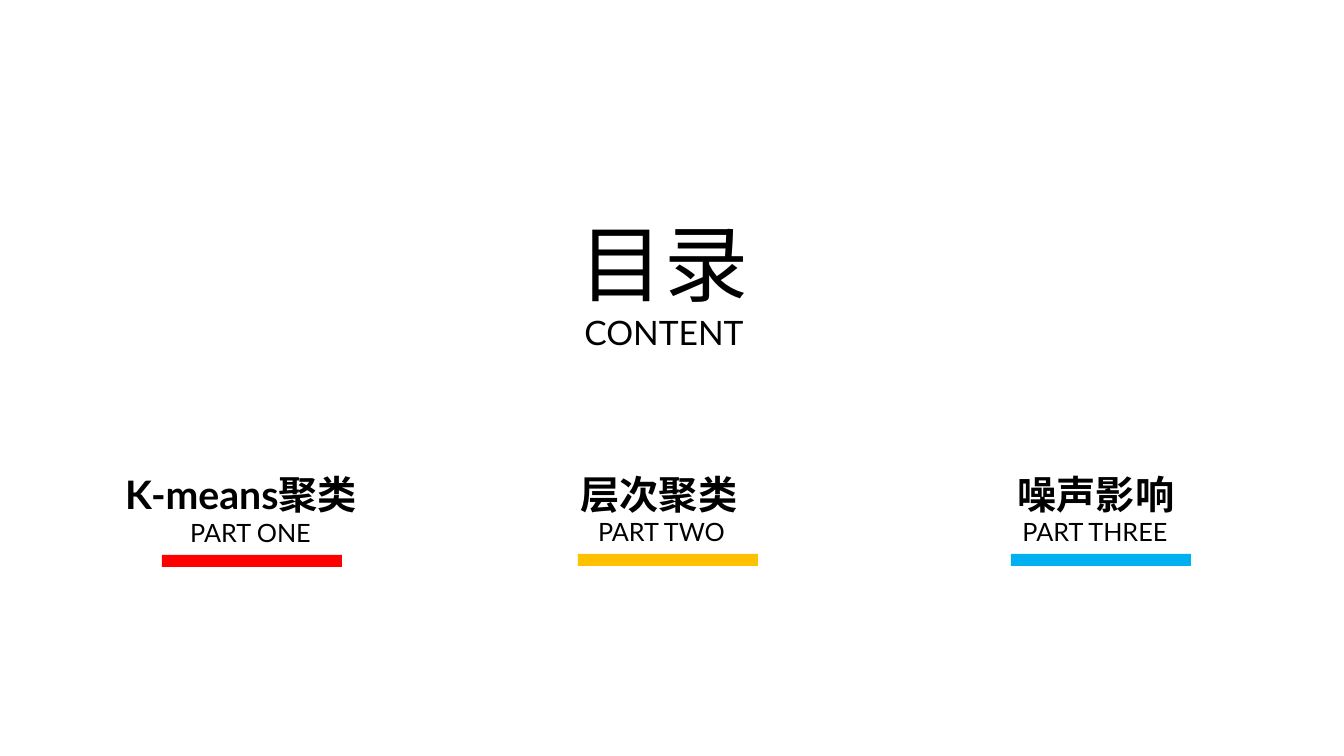
"""Build the contents slide with a title and three numbered parts."""
from dataclasses import dataclass

from lxml import etree
from pptx import Presentation, util as u
from pptx.dml.color import RGBColor
from pptx.enum import lang, shapes, text as t
from pptx.oxml import ns

EMU_PER_PX = 914400 / 100.8


@dataclass(frozen=True)
class Theme:
    """Colours, font and type sizes of the slide."""
    font: str = "Lato"
    ink: str = "000000"
    red: str = "FF0000"
    amber: str = "FFC000"
    blue: str = "00B0F0"
    title: int = 60
    subtitle: int = 24
    heading: int = 28
    label: int = 18


def px(length):
    """Turn whole pixels into EMU."""
    return u.Emu(round(length * EMU_PER_PX))


def write_text(paragraph, content, *, font, size, color, bold=False, spacing=1.0):
    """Write one formatted centred run into a paragraph."""
    paragraph.alignment = t.PP_ALIGN.CENTER
    paragraph.line_spacing = spacing
    paragraph.space_before = u.Pt(0)
    run = paragraph.add_run()
    run.text = content
    run.font.name = font
    run.font.size = u.Pt(size)
    run.font.bold = bold
    run.font.color.rgb = RGBColor.from_string(color)
    run.font.language_id = lang.MSO_LANGUAGE_ID.SIMPLIFIED_CHINESE
    properties = run._r.get_or_add_rPr()
    etree.SubElement(properties, ns.qn("a:ea"), typeface=font)


class ContentsSlide:
    """Hold the theme and the current slide, and add its elements."""

    def __init__(self, presentation, theme):
        """Start a title-only slide."""
        self.theme = theme
        self.slide = presentation.slides.add_slide(presentation.slide_layouts[5])

    def title(self, content, subtitle, left, top, width, height):
        """Place the title with its smaller second line."""
        shape = self.slide.shapes.title
        shape.left, shape.top = px(left), px(top)
        shape.width, shape.height = px(width), px(height)
        frame = shape.text_frame
        frame.word_wrap = False
        frame.auto_size = t.MSO_AUTO_SIZE.NONE
        frame.vertical_anchor = t.MSO_ANCHOR.TOP
        style = {"font": self.theme.font, "color": self.theme.ink}
        write_text(frame.paragraphs[0], content, size=self.theme.title, **style)
        write_text(frame.add_paragraph(), subtitle, size=self.theme.subtitle, **style)

    def text(self, content, left, top, width, height, size, bold=False):
        """Add a centred line of text."""
        shape = self.slide.shapes.add_textbox(px(left), px(top), px(width), px(height))
        frame = shape.text_frame
        frame.word_wrap = True
        write_text(frame.paragraphs[0], content, font=self.theme.font, size=size,
                   color=self.theme.ink, bold=bold, spacing=1.3)

    def bar(self, left, top, width, height, color):
        """Add a plain coloured bar."""
        shape = self.slide.shapes.add_shape(
            shapes.MSO_SHAPE.RECTANGLE, px(left), px(top), px(width), px(height))
        shape.shadow.inherit = False
        shape.fill.solid()
        shape.fill.fore_color.rgb = RGBColor.from_string(color)
        shape.line.fill.background()


def main():
    """Build and save the presentation."""
    presentation = Presentation()
    presentation.slide_width, presentation.slide_height = px(1344), px(756)
    theme = Theme()
    contents = ContentsSlide(presentation, theme)
    contents.title("目录", "CONTENT", 569, 206, 190, 152)
    parts = [
        ("K-means聚类", (106, 270), "PART ONE", (170, 503, 161), (162, 555), theme.red),
        ("层次聚类", (562, 194), "PART TWO", (574, 502, 175), (578, 554), theme.amber),
        ("噪声影响", (999, 194), "PART THREE", (1005, 502, 180), (1011, 554), theme.blue),
    ]
    for heading, (left, width), label, label_place, bar_place, color in parts:
        contents.text(label, *label_place, 49, theme.label)
        contents.text(heading, left, 451, width, 67, theme.heading, bold=True)
        contents.bar(*bar_place, 180, 12, color)
    presentation.save("out.pptx")


if __name__ == "__main__":
    main()
